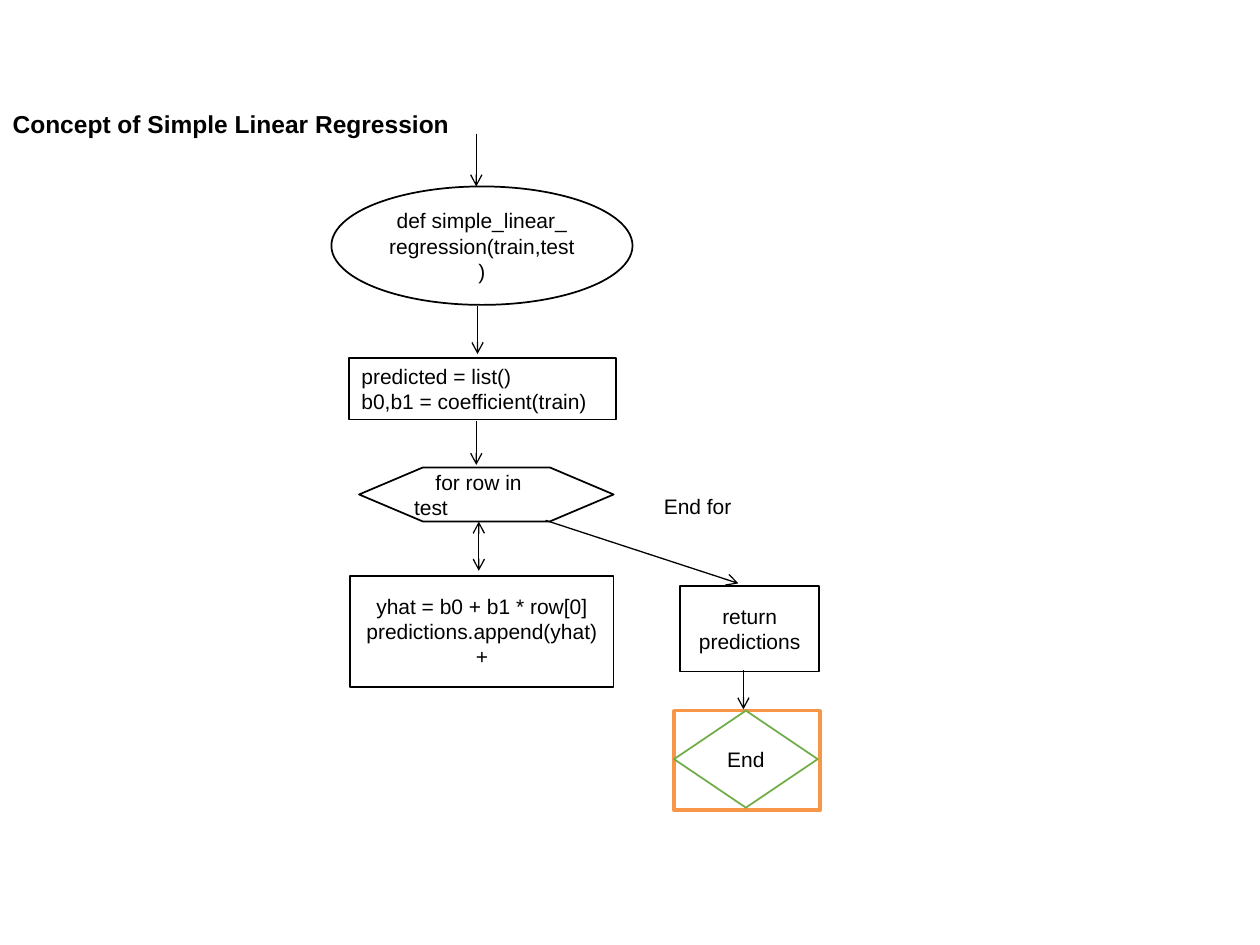
from lxml.etree import SubElement
from pptx import Presentation
from pptx.dml.color import RGBColor
from pptx.enum.shapes import MSO_CONNECTOR, MSO_SHAPE as SHAPE
from pptx.enum.text import MSO_ANCHOR as ANCHOR, PP_ALIGN as ALIGN
from pptx.oxml.ns import qn
from pptx.util import Inches, Pt

BLACK = RGBColor(0x00, 0x00, 0x00)
WHITE = RGBColor(0xFF, 0xFF, 0xFF)
ORANGE = RGBColor(0xF7, 0x96, 0x46)
GREEN = RGBColor(0x70, 0xAD, 0x47)

TITLE = "Concept of Simple Linear Regression"
STEPS = [
    (SHAPE.OVAL, (2.63, 1.48, 2.39, 0.94),
     ["def simple_linear_", "regression(train,test)"], {}),
    (SHAPE.RECTANGLE, (2.77, 2.84, 2.12, 0.49),
     ["predicted = list()", "b0,b1 = coefficient(train)"], {"align": ALIGN.LEFT}),
    (SHAPE.HEXAGON, (2.85, 3.71, 2.02, 0.43),
     ["for row in test"], {"align": ALIGN.LEFT, "indent": 0.17}),
    (SHAPE.RECTANGLE, (2.78, 4.57, 2.09, 0.88),
     ["yhat = b0 + b1 * row[0]", "predictions.append(yhat)+"], {}),
    (SHAPE.RECTANGLE, (5.4, 4.65, 1.1, 0.68), ["return predictions"], {}),
    (SHAPE.RECTANGLE, (5.35, 5.64, 1.16, 0.79), [], {"outline": ORANGE, "weight": 2}),
    (SHAPE.DIAMOND, (5.35, 5.64, 1.14, 0.77), ["End"], {"outline": GREEN}),
    (SHAPE.RECTANGLE, (5.17, 3.87, 0.78, 0.29), ["End for"],
     {"outline": None, "align": ALIGN.LEFT, "anchor": ANCHOR.TOP}),
]
ARROWS = [
    ((3.78, 1.06), (3.78, 1.48), ["tailEnd"]),
    ((3.79, 2.43), (3.79, 2.81), ["tailEnd"]),
    ((3.78, 3.34), (3.78, 3.69), ["tailEnd"]),
    ((3.8, 4.14), (3.8, 4.53), ["headEnd", "tailEnd"]),
    ((4.33, 4.13), (5.86, 4.63), ["tailEnd"]),
    ((5.9, 5.32), (5.9, 5.63), ["tailEnd"]),
]


def write(frame, lines, size=12, bold=False, align=ALIGN.CENTER,
          anchor=ANCHOR.MIDDLE, indent=0):
    frame.word_wrap = True
    frame.vertical_anchor = anchor
    for number, line in enumerate(lines):
        paragraph = frame.add_paragraph() if number else frame.paragraphs[0]
        paragraph.alignment = align
        if indent:
            properties = paragraph._p.get_or_add_pPr()
            properties.set("marL", "0")
            properties.set("indent", str(Inches(indent)))
        run = paragraph.add_run()
        run.text = line
        run.font.name = "Arial"
        run.font.size = Pt(size)
        run.font.bold = bold
        run.font.color.rgb = BLACK


def add_step(slide, kind, box, lines, outline=BLACK, weight=1, **text_format):
    step = slide.shapes.add_shape(kind, *map(Inches, box))
    step.shadow.inherit = False
    step.fill.solid()
    step.fill.fore_color.rgb = WHITE
    if outline is None:
        step.line.fill.background()
    else:
        step.line.color.rgb = outline
        step.line.width = Pt(weight)
    if kind == SHAPE.HEXAGON:
        step.adjustments[0] = 1.18
    write(step.text_frame, lines, **text_format)


def add_arrow(slide, start, end, heads):
    arrow = slide.shapes.add_connector(
        MSO_CONNECTOR.STRAIGHT, *map(Inches, start + end))
    arrow.line.color.rgb = BLACK
    arrow.line.width = Pt(0.75)
    for head in heads:
        SubElement(arrow.line._get_or_add_ln(), qn(f"a:{head}"), type="arrow")
    SubElement(arrow._element.spPr, qn("a:effectLst"))


def main():
    deck = Presentation()
    deck.slide_width, deck.slide_height = Inches(10), Inches(7.5)
    slide = deck.slides.add_slide(deck.slide_layouts[5])

    title = slide.shapes.title
    title.left, title.top = Inches(0), Inches(0.5)
    title.width, title.height = Inches(10), Inches(0.6)
    title.text_frame.margin_bottom = 0
    write(title.text_frame, [TITLE], size=14, bold=True,
          align=ALIGN.LEFT, anchor=ANCHOR.BOTTOM)

    for kind, box, lines, style in STEPS:
        add_step(slide, kind, box, lines, **style)
    for start, end, heads in ARROWS:
        add_arrow(slide, start, end, heads)
    deck.save("out.pptx")


if __name__ == "__main__":
    main()
